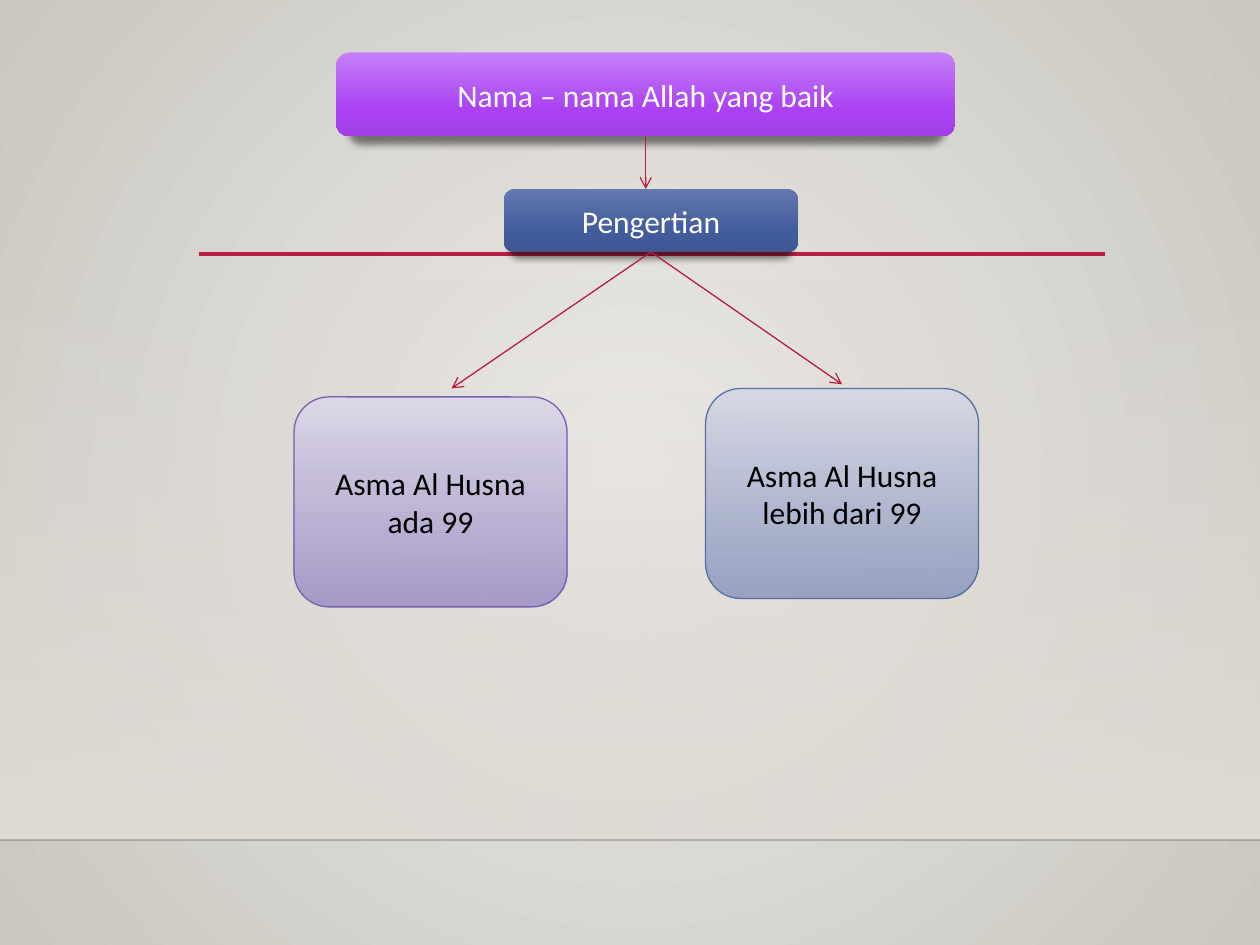
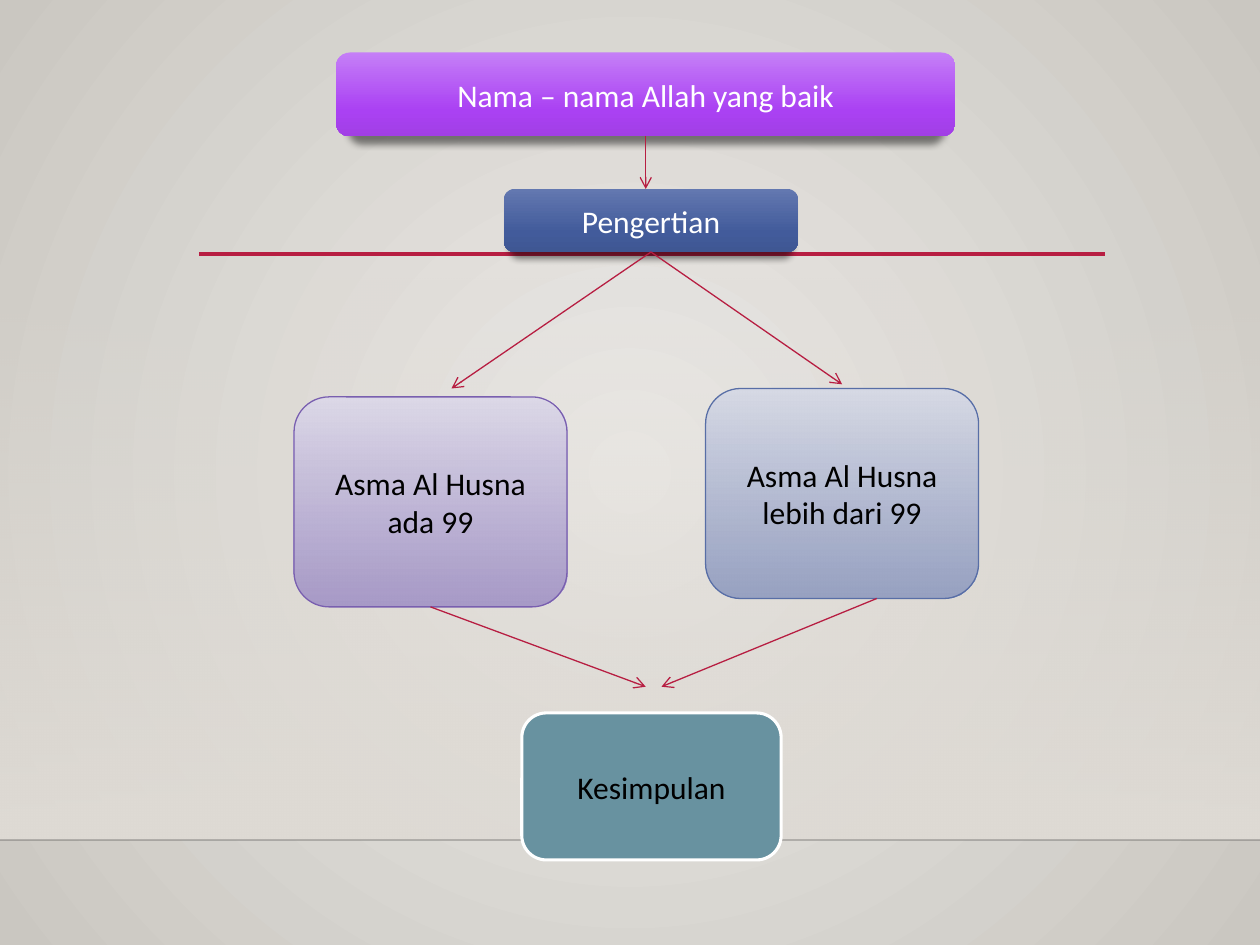
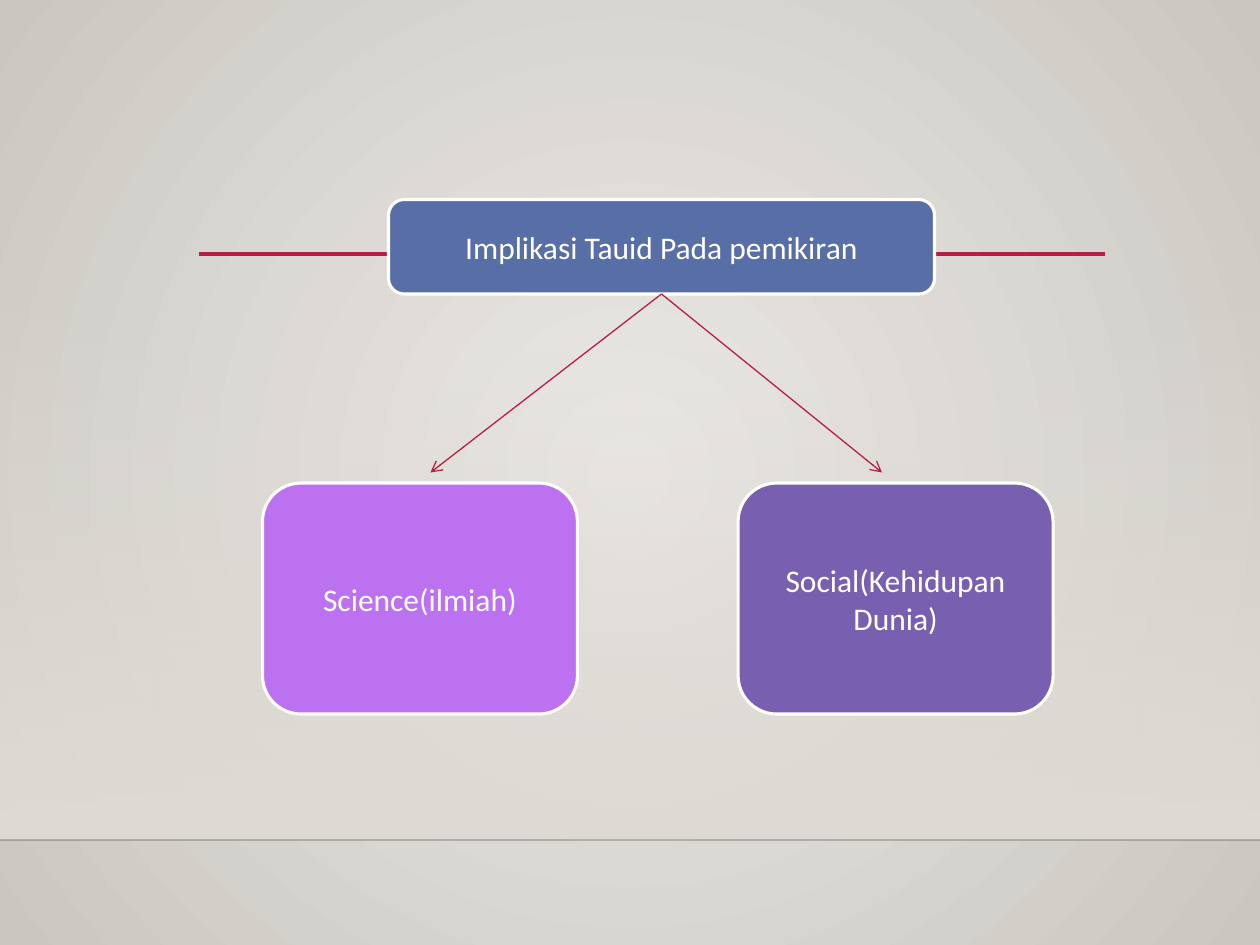
from dataclasses import dataclass
from typing import NamedTuple

import lxml.etree
import pptx
import pptx.dml.color
import pptx.enum.shapes
import pptx.enum.text
import pptx.oxml
import pptx.oxml.ns
import pptx.util

# Grid: 120 columns by 90 rows fill the slide
COLUMNS, ROWS = 120, 90
WIDTH, HEIGHT = pptx.util.Inches(10), pptx.util.Inches(7.5)
SHAPES = pptx.enum.shapes.MSO_SHAPE
STRAIGHT = pptx.enum.shapes.MSO_CONNECTOR.STRAIGHT


class Stop(NamedTuple):
    position: int
    color: str
    alpha: int = 100


class Stroke(NamedTuple):
    color: str
    weight: float
    alpha: int = 100


class Point(NamedTuple):
    column: float
    row: float


class Look(NamedTuple):
    fill: tuple[Stop, ...]
    text: str
    outline: Stroke | None = None
    shadow: bool = False


def plain(color: str) -> tuple[Stop, ...]:
    return (Stop(0, color),)


@dataclass(frozen=True)
class Theme:
    font: str = "Calibri"
    size: float = 18
    white: str = "FFFFFF"
    black: str = "000000"
    backdrop: tuple[Stop, ...] = (Stop(0, "ECEAE7"), Stop(100, "CAC7C1"))
    haze: tuple[Stop, ...] = (Stop(0, "DFDBD5", 0), Stop(100, "DFDBD5"))
    horizon: Stroke = Stroke("000001", 1, 20)
    rule: Stroke = Stroke("B71E42", 2.5)
    arrow: Stroke = Stroke("B71E42", 0.75)
    border: Stroke = Stroke("FFFFFF", 1.75)


THEME = Theme()

# Box looks
VIOLET_GLOSS = Look((Stop(0, "C57FF7"), Stop(69, "AA41F3"), Stop(100, "A13FE5")),
                    THEME.white, shadow=True)
BLUE_GLOSS = Look((Stop(0, "6378B0"), Stop(69, "425B9B"), Stop(100, "3F5793")),
                  THEME.white, shadow=True)
PALE_PURPLE = Look((Stop(0, "DCD8E8"), Stop(100, "A395C6", 92)),
                   THEME.black, Stroke("795FAF", 0.75))
PALE_BLUE = Look((Stop(0, "D6D9E5"), Stop(100, "929DC0", 92)),
                 THEME.black, Stroke("586EA6", 0.75))
TEAL = Look(plain("6892A0"), THEME.black, THEME.border)
BLUE = Look(plain("586EA6"), THEME.white, THEME.border)
VIOLET = Look(plain("BC72F0"), THEME.white, THEME.border)
PURPLE = Look(plain("795FAF"), THEME.white, THEME.border)


@dataclass(frozen=True)
class Box:
    column: float
    row: float
    columns: float
    rows: float
    look: Look
    text: str = ""

    def foot(self, shift: float = 0) -> Point:
        """Middle of the lower edge, moved sideways by shift columns."""
        return Point(self.column + self.columns / 2 + shift, self.row + self.rows)


class Arrow(NamedTuple):
    start: Point
    end: Point


def x(columns: float) -> int:
    return round(WIDTH * columns / COLUMNS)


def y(rows: float) -> int:
    return round(HEIGHT * rows / ROWS)


def rgb(color: str) -> pptx.dml.color.RGBColor:
    return pptx.dml.color.RGBColor.from_string(color)


def apply_format(target: object, values: dict[str, object]) -> None:
    for name, value in values.items():
        setattr(target, name, value)


def add_xml(parent, tag: str, **attributes: object):
    return lxml.etree.SubElement(parent, pptx.oxml.ns.qn(tag),
                                 {name: str(value) for name, value in attributes.items()})


def paint_gradient(fill, owner, stops: tuple[Stop, ...], radial: bool = False) -> None:
    fill.gradient()
    gradient = owner.find(".//" + pptx.oxml.ns.qn("a:gradFill"))
    for child in list(gradient):
        gradient.remove(child)
    stop_list = add_xml(gradient, "a:gsLst")
    for stop in stops:
        mark = add_xml(stop_list, "a:gs", pos=stop.position * 1000)
        color = add_xml(mark, "a:srgbClr", val=stop.color)
        if stop.alpha < 100:
            add_xml(color, "a:alpha", val=stop.alpha * 1000)
    if radial:
        focus = add_xml(gradient, "a:path", path="circle")
        add_xml(focus, "a:fillToRect", **dict.fromkeys("ltrb", 50000))
    else:
        add_xml(gradient, "a:lin", ang=5400000, scaled=0)


def paint_stroke(line, owner, stroke: Stroke) -> None:
    line.fill.solid()
    line.fill.fore_color.rgb = rgb(stroke.color)
    line.width = pptx.util.Pt(stroke.weight)
    if stroke.alpha < 100:
        color = owner.spPr.find(".//" + pptx.oxml.ns.qn("a:ln")).find(
            ".//" + pptx.oxml.ns.qn("a:srgbClr"))
        add_xml(color, "a:alpha", val=stroke.alpha * 1000)


def draw_line(slide, start: Point, end: Point, stroke: Stroke, head: bool = False) -> None:
    line = slide.shapes.add_connector(
        STRAIGHT, x(start.column), y(start.row), x(end.column), y(end.row))
    paint_stroke(line.line, line.element, stroke)
    if head:
        add_xml(line.line._get_or_add_ln(), "a:tailEnd", type="arrow")
    add_xml(line.element.spPr, "a:effectLst")


def draw_box(slide, box: Box, outline_shape=SHAPES.ROUNDED_RECTANGLE) -> None:
    shape = slide.shapes.add_shape(
        outline_shape, x(box.column), y(box.row), x(box.columns), y(box.rows))
    look = box.look
    if len(look.fill) > 1:
        paint_gradient(shape.fill, shape.element, look.fill)
    else:
        shape.fill.solid()
        shape.fill.fore_color.rgb = rgb(look.fill[0].color)
    if look.outline:
        paint_stroke(shape.line, shape.element, look.outline)
    else:
        shape.line.fill.background()

    # Soft shadow below glossy boxes only
    shape.shadow.inherit = False
    if look.shadow:
        effects = shape.element.spPr.find(pptx.oxml.ns.qn("a:effectLst"))
        shade = add_xml(effects, "a:outerShdw", blurRad=pptx.util.Pt(4),
                        dist=pptx.util.Pt(4), dir=5400000, sx=96000,
                        algn="ctr", rotWithShape=0)
        add_xml(add_xml(shade, "a:srgbClr", val=THEME.black), "a:alpha", val=48000)

    if box.text:
        frame = shape.text_frame
        apply_format(frame, {"text": box.text, "word_wrap": True,
                             "vertical_anchor": pptx.enum.text.MSO_ANCHOR.MIDDLE})
        paragraph = frame.paragraphs[0]
        paragraph.alignment = pptx.enum.text.PP_ALIGN.CENTER
        font = paragraph.runs[0].font
        apply_format(font, {"name": THEME.font, "size": pptx.util.Pt(THEME.size)})
        font.color.rgb = rgb(look.text)


def draw_scenery(slide) -> None:
    """Backdrop, haze, horizon and red rule that every slide shares."""
    paint_gradient(slide.background.fill, slide.element, THEME.backdrop, radial=True)
    draw_box(slide, Box(0, 26.4, COLUMNS, 53.6, Look(THEME.haze, THEME.black)),
             SHAPES.RECTANGLE)
    draw_line(slide, Point(0, 80), Point(COLUMNS, 80), THEME.horizon)
    draw_line(slide, Point(19, 24.2), Point(105.2, 24.2), THEME.rule)


# Names of Allah: meaning, two views, conclusion
names = Box(32, 5, 59, 8, VIOLET_GLOSS, "Nama – nama Allah yang baik")
meaning = Box(48, 18, 28, 6, BLUE_GLOSS, "Pengertian")
exactly_99 = Box(28, 37.8, 26, 20, PALE_PURPLE, "Asma Al Husna ada 99")
beyond_99 = Box(67.2, 37, 26, 20, PALE_BLUE, "Asma Al Husna lebih dari 99")
conclusion = Box(49.7, 67.9, 24.7, 14, TEAL, "Kesimpulan")

two_views = (
    names,
    Arrow(names.foot(), Point(61.5, 18)),
    meaning,
    Arrow(meaning.foot(), Point(43, 37)),
    Arrow(meaning.foot(), Point(80.2, 36.6)),
    exactly_99,
    beyond_99,
)
views_concluded = two_views + (
    Arrow(beyond_99.foot(3.3), Point(63, 65.4)),
    Arrow(exactly_99.foot(), Point(61.5, 65.4)),
    conclusion,
)

# Implications for thought
implication = Box(37, 19, 52, 9, BLUE, "Implikasi Tauid Pada pemikiran")
implications = (
    implication,
    Arrow(implication.foot(), Point(41, 45)),
    Arrow(implication.foot(), Point(84, 45)),
    Box(25, 46, 30, 22, VIOLET, "Science(ilmiah)"),
    Box(70.3, 46, 30, 22, PURPLE, "Social(Kehidupan Dunia)"),
)


def main() -> None:
    deck = pptx.Presentation()
    apply_format(deck, {"slide_width": WIDTH, "slide_height": HEIGHT})
    for diagram in (two_views, views_concluded, implications):
        slide = deck.slides.add_slide(deck.slide_layouts[6])
        draw_scenery(slide)
        for part in diagram:
            if isinstance(part, Box):
                draw_box(slide, part)
            else:
                draw_line(slide, part.start, part.end, THEME.arrow, head=True)
    deck.save("out.pptx")


if __name__ == "__main__":
    main()
